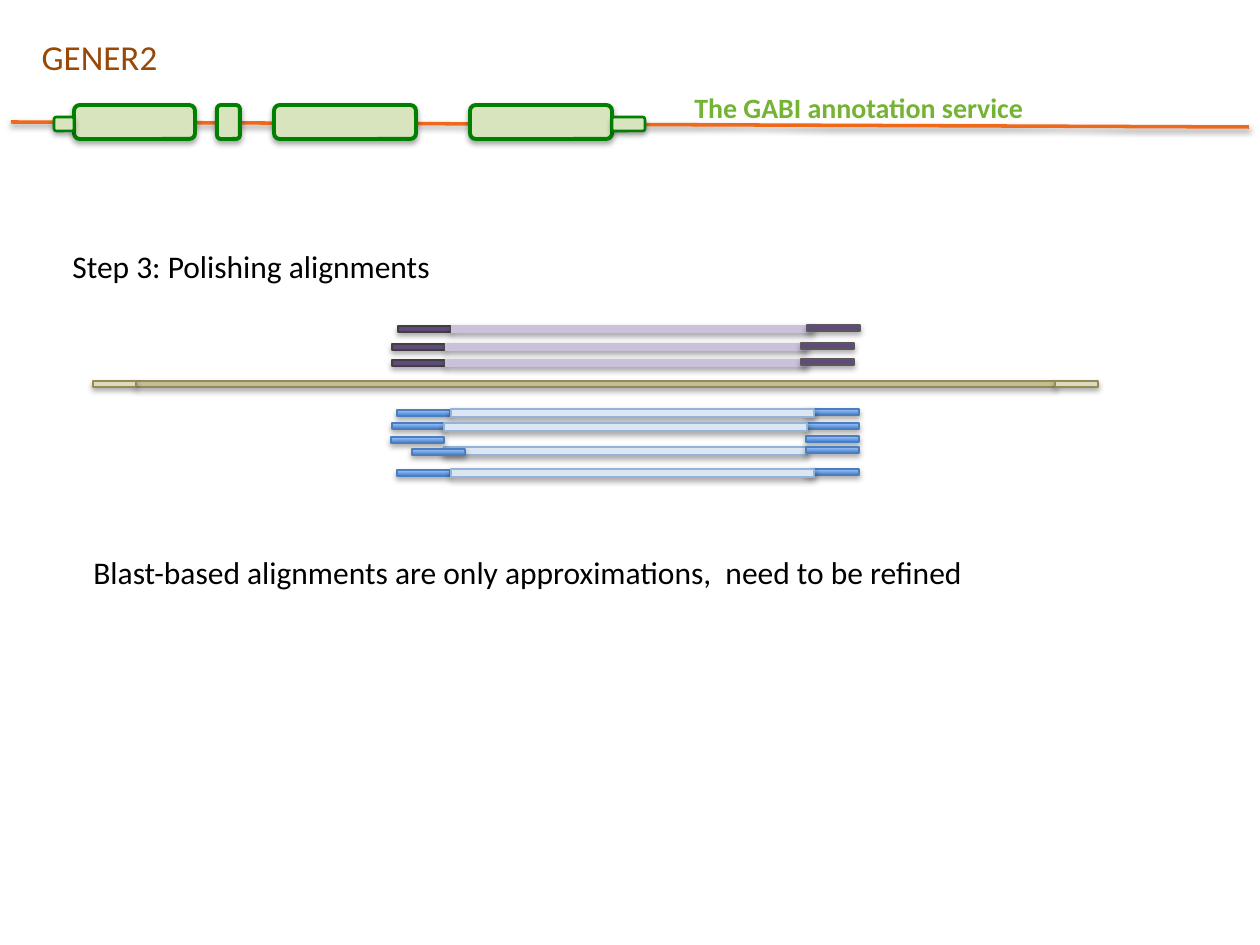
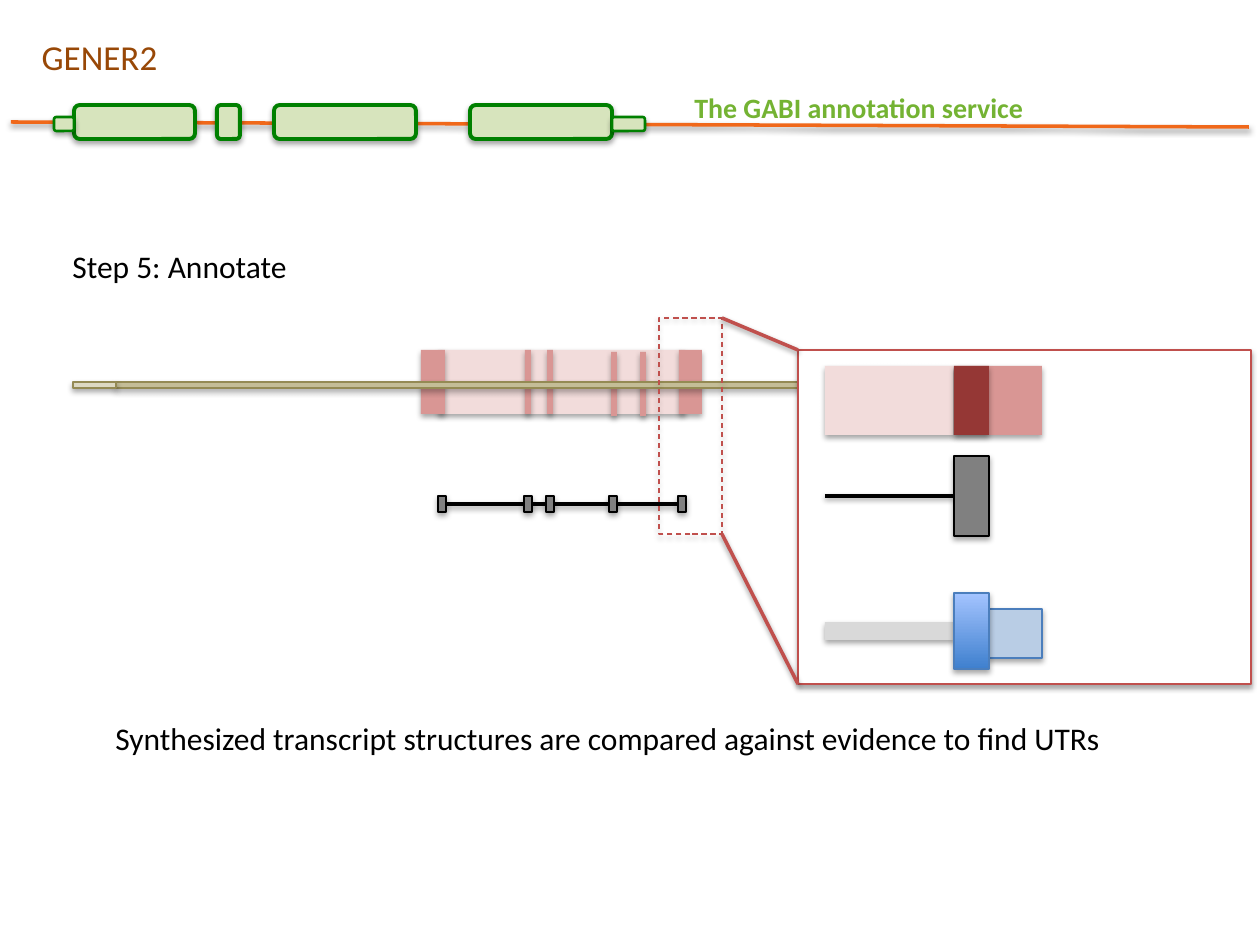
from lxml.etree import SubElement
from pptx import Presentation
from pptx.dml.color import RGBColor
from pptx.enum.dml import MSO_LINE
from pptx.enum.shapes import MSO_CONNECTOR, MSO_SHAPE
from pptx.enum.text import MSO_ANCHOR, MSO_AUTO_SIZE, PP_ALIGN
from pptx.oxml.ns import qn
from pptx.util import Emu, Pt

EMU_PER_PX = 914400 / 126
FONT = "Calibri"
BLACK = "000000"
BAND_ORANGE = "F0681A"
EXON_GREEN, EXON_EDGE = "D7E4BD", "008000"
SERVICE_GREEN, TITLE_BROWN = "74B333", "984807"
GENOME, GENOME_FLANK, GENOME_EDGE = "C4BD97", "DDD9C3", "948A54"
PROTEIN_CAP, PROTEIN_BODY = "604A7B", "CCC1DA"
BLUE_GRADIENT, BLUE_EDGE = ("3F80CE", "A4C4FF"), "4B7EBC"
MATCH_BODY, MATCH_EDGE = "DCE6F2", "95B3D7"
INTRON_PINK, EXON_PINK, CODING_RED = "F2DCDB", "D99694", "953735"
ZOOM_RED, TRANSCRIPT_GREY = "C0504D", "808080"
CAP_WIDTH, CAP_HEIGHT = 53, 6
BODY_WIDTH, BODY_HEIGHT = 363, 8


def px(*lengths):
    """Turn pixel lengths into EMU."""
    return [Emu(round(length * EMU_PER_PX)) for length in lengths]


def colour(hex_code):
    """Turn a hex string into a colour."""
    return RGBColor.from_string(hex_code)


def cast_shadow(properties, distance, opacity):
    """Give shape properties a soft shadow that falls straight down."""
    effects = properties.find(qn("a:effectLst"))
    if effects is None:
        effects = SubElement(properties, qn("a:effectLst"))
    shadow = SubElement(effects, qn("a:outerShdw"), blurRad="40000",
                        dist=str(distance), dir="5400000", rotWithShape="0")
    tint = SubElement(shadow, qn("a:srgbClr"), val=BLACK)
    SubElement(tint, qn("a:alpha"), val=str(opacity * 1000))


def add_bar(shapes, box, fill=None, edge=None, weight=0.75,
            outline=MSO_SHAPE.RECTANGLE):
    """Add a shadowed bar with a plain, two-colour or empty fill."""
    bar = shapes.add_shape(outline, *px(*box))
    bar.shadow.inherit = False
    cast_shadow(bar.element.spPr, 23000, 35)
    if fill is None:
        bar.fill.background()
    elif isinstance(fill, tuple):
        bar.fill.gradient()
        bar.fill.gradient_angle = 90
        for stop, shade in zip(bar.fill.gradient_stops, fill):
            stop.color.rgb = colour(shade)
    else:
        bar.fill.solid()
        bar.fill.fore_color.rgb = colour(fill)
    if edge:
        bar.line.color.rgb = colour(edge)
        bar.line.width = Pt(weight)
    else:
        bar.line.fill.background()
    return bar


def add_line(shapes, ends, hue):
    """Add a shadowed straight line."""
    line = shapes.add_connector(MSO_CONNECTOR.STRAIGHT, *px(*ends))
    line.line.color.rgb = colour(hue)
    line.line.width = Pt(2)
    cast_shadow(line.element.spPr, 20000, 38)
    return line


def write(holder, text, size, hue, bold=False):
    """Write one left-aligned line into a text holder."""
    frame = holder.text_frame
    frame.text = text
    frame.word_wrap = False
    frame.auto_size = MSO_AUTO_SIZE.SHAPE_TO_FIT_TEXT
    frame.vertical_anchor = MSO_ANCHOR.TOP
    paragraph = frame.paragraphs[0]
    paragraph.alignment = PP_ALIGN.LEFT
    paragraph.font.name = FONT
    paragraph.font.size = Pt(size)
    paragraph.font.bold = bold
    paragraph.font.color.rgb = colour(hue)


def add_label(shapes, box, text, size=18, hue=BLACK, bold=False):
    """Add a one-line text box."""
    write(shapes.add_textbox(*px(*box)), text, size, hue, bold)


def add_gene_band(shapes):
    """Draw the gene model and service name under the title."""
    add_line(shapes, (11, 122, 1249, 127), BAND_ORANGE)
    for left, width in ((74, 121), (217, 23), (274, 142), (470, 142)):
        add_bar(shapes, (left, 105, width, 34), EXON_GREEN, EXON_EDGE, 2.25,
                MSO_SHAPE.ROUNDED_RECTANGLE)
    for left, width in ((612, 33), (54, 20)):
        add_bar(shapes, (left, 117, width, 14), EXON_GREEN, EXON_EDGE, 1.5,
                MSO_SHAPE.ROUNDED_RECTANGLE)
    add_label(shapes, (682, 84, 355, 47), "The GABI annotation service",
              16, SERVICE_GREEN, True)


def start_slide(deck, step):
    """Add a slide with title, gene band and step heading."""
    slide = deck.slides.add_slide(deck.slide_layouts[5])
    title = slide.shapes.title
    title.left, title.top, title.width, title.height = px(29, 29, 155, 55)
    write(title, "GENER2", 20, TITLE_BROWN)
    add_gene_band(slide.shapes)
    add_label(slide.shapes, (60, 241, 388, 50), step)
    return slide.shapes


def add_genome(shapes, left, top, width):
    """Draw a genome bar led by a paler flank."""
    add_bar(shapes, (left + 43, top, width, 6), GENOME, GENOME_EDGE)
    add_bar(shapes, (left, top, 43, 6), GENOME_FLANK, GENOME_EDGE)


def add_match_body(shapes, left, top):
    """Draw the aligned core of a transcript match."""
    add_bar(shapes, (left, top, BODY_WIDTH, BODY_HEIGHT), MATCH_BODY, MATCH_EDGE)


def add_protein_match(shapes, left, top):
    """Draw a grouped protein match with dark caps."""
    match = shapes.add_group_shape().shapes
    add_bar(match, (left, top, CAP_WIDTH, CAP_HEIGHT), PROTEIN_CAP, "404040")
    add_bar(match, (left + CAP_WIDTH, top - 1, BODY_WIDTH, BODY_HEIGHT),
            PROTEIN_BODY)
    add_bar(match, (left + 409, top - 1, CAP_WIDTH, CAP_HEIGHT),
            PROTEIN_CAP, "595959")


def build_polishing(deck):
    """Build the slide on polishing alignments."""
    shapes = start_slide(deck, "Step 3: Polishing alignments")
    add_genome(shapes, 93, 381, 919)
    add_bar(shapes, (1055, 381, 43, 6), GENOME_FLANK, GENOME_EDGE)
    add_match_body(shapes, 444, 447)
    matches = ((397, 410, 409, 451), (392, 423, 423, 444), (391, 437, 436, None),
               (412, 449, 447, None), (397, 470, 469, 451))
    for left, left_top, right_top, body_left in matches:
        for cap_left, cap_top in ((left, left_top), (806, right_top)):
            add_bar(shapes, (cap_left, cap_top, CAP_WIDTH, CAP_HEIGHT),
                    BLUE_GRADIENT, BLUE_EDGE)
        if body_left:
            add_match_body(shapes, body_left, right_top)
    for left, top in ((398, 326), (392, 344), (392, 360)):
        add_protein_match(shapes, left, top)
    add_label(shapes, (81, 547, 907, 50),
              "Blast-based alignments are only approximations,  need to be refined")


def add_prediction(shapes):
    """Draw the predicted gene with its exons."""
    add_bar(shapes, (438, 350, 247, 64), INTRON_PINK)
    exons = ((421, 350, 24), (679, 350, 23), (525, 350, 6), (547, 350, 6),
             (611, 352, 6), (640, 352, 6))
    for left, top, width in exons:
        add_bar(shapes, (left, top, width, 64), EXON_PINK)


def add_transcript(shapes):
    """Draw the transcript as exons on a joining line."""
    intron = add_line(shapes, (446, 504, 678, 504), BLACK)
    exons = [add_bar(shapes, (left, 496, 8, 16), TRANSCRIPT_GREY, BLACK)
             for left in (438, 524, 546, 609, 678)]
    intron.begin_connect(exons[0], 3)
    intron.end_connect(exons[-1], 1)


def add_zoom(shapes):
    """Draw the enlarged gene end and the lines leading to it."""
    add_bar(shapes, (798, 350, 453, 334), "FFFFFF", ZOOM_RED)
    region = add_bar(shapes, (659, 318, 63, 216), edge=ZOOM_RED)
    region.line.dash_style = MSO_LINE.DASH
    add_line(shapes, (722, 318, 798, 350), ZOOM_RED)
    add_line(shapes, (722, 534, 798, 684), ZOOM_RED)
    intron = add_line(shapes, (825, 496, 954, 496), BLACK)
    exon = add_bar(shapes, (954, 456, 35, 80), TRANSCRIPT_GREY, BLACK)
    intron.end_connect(exon, 1)
    add_bar(shapes, (954, 366, 88, 69), EXON_PINK)
    add_bar(shapes, (825, 366, 128, 69), INTRON_PINK)
    add_bar(shapes, (954, 366, 35, 69), CODING_RED)
    add_bar(shapes, (825, 622, 129, 18), "D9D9D9")
    add_bar(shapes, (989, 609, 53, 49), "B9CDE5", BLUE_EDGE)
    add_bar(shapes, (954, 593, 35, 76), BLUE_GRADIENT, BLUE_EDGE)


def build_annotation(deck):
    """Build the slide on annotating transcripts."""
    shapes = start_slide(deck, "Step 5: Annotate")
    add_prediction(shapes)
    add_genome(shapes, 73, 382, 992)
    add_transcript(shapes)
    add_zoom(shapes)
    add_label(shapes, (103, 713, 1022, 50), "Synthesized transcript structures "
              "are compared against evidence to find UTRs")


def main():
    """Build and save the deck."""
    deck = Presentation()
    deck.slide_width, deck.slide_height = px(1260, 945)
    build_polishing(deck)
    build_annotation(deck)
    deck.save("out.pptx")


if __name__ == "__main__":
    main()
